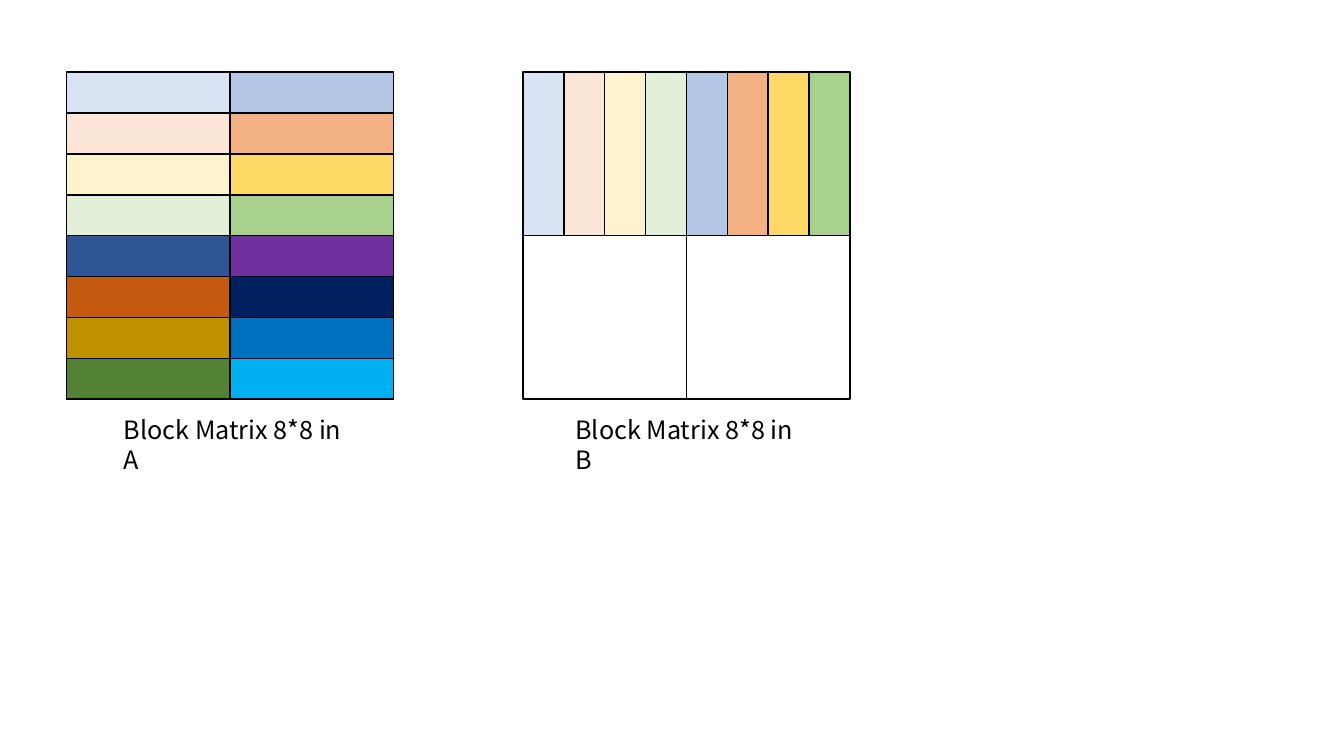
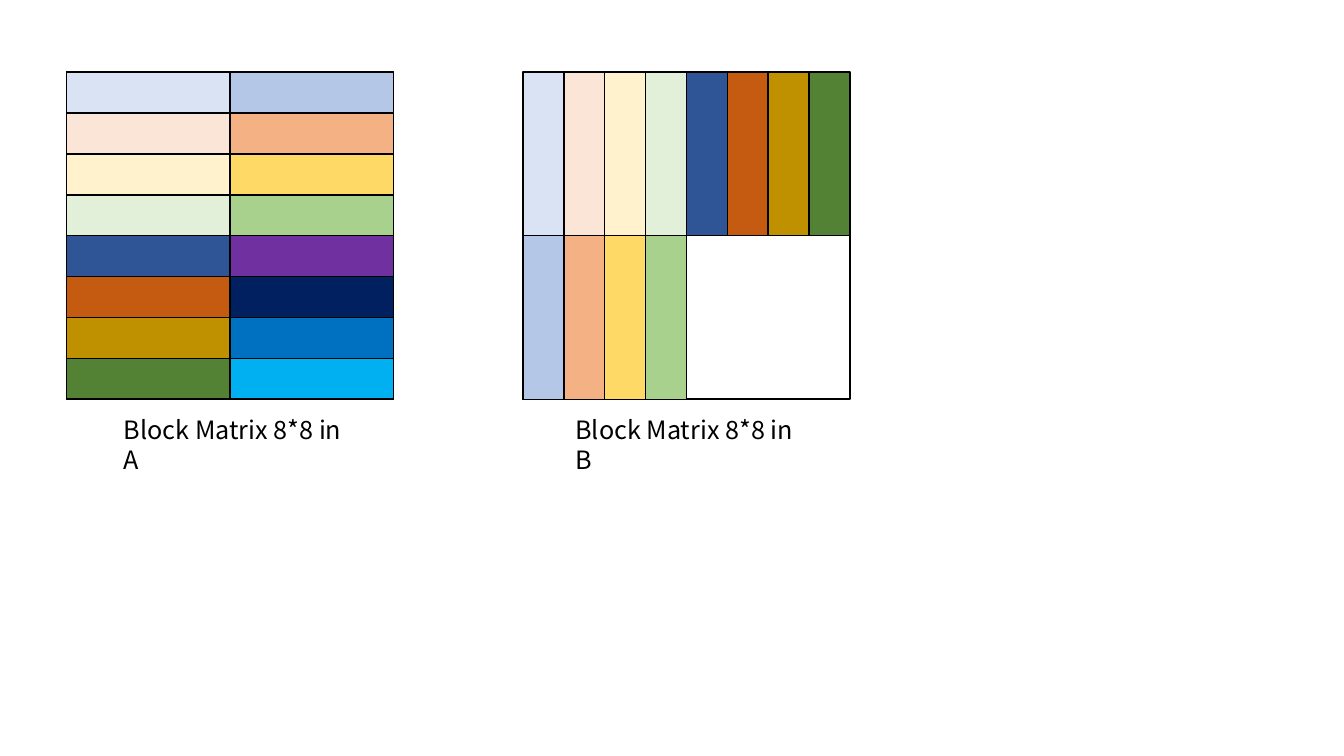
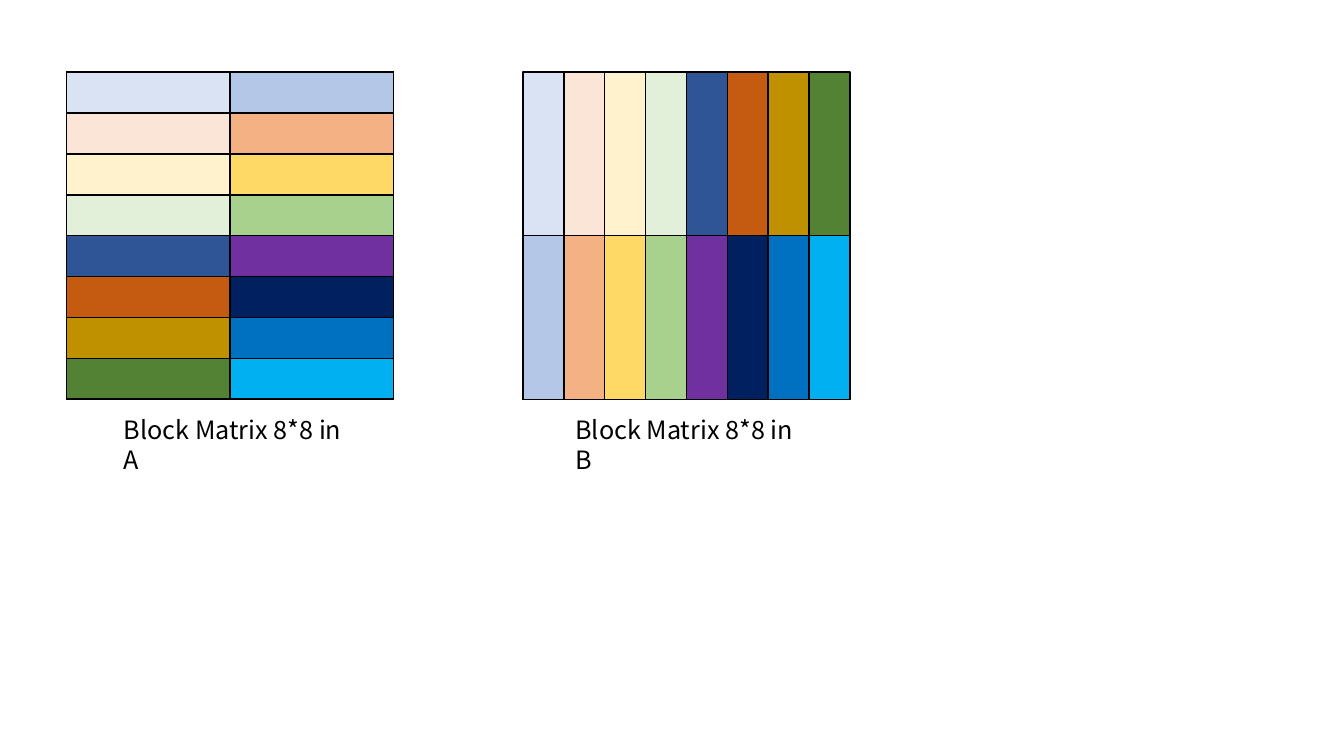
from pptx import Presentation
from pptx import util as u
from pptx.dml.color import RGBColor
from pptx.enum import shapes, text

Cm = u.Cm
FONT = "Noto Sans CJK SC"
COLORS = {
    "black": "000000",
    "pale blue": "DAE3F3", "pale orange": "FBE5D6",
    "pale gold": "FFF2CC", "pale green": "E2F0D9",
    "light blue": "B4C7E7", "light orange": "F4B183",
    "light gold": "FFD966", "light green": "A9D18E",
    "dark blue": "2F5597", "dark orange": "C55A11",
    "dark gold": "BF9000", "dark green": "548235",
    "purple": "7030A0", "navy": "002060", "blue": "0070C0", "cyan": "00B0F0",
}
HUES = ("blue", "orange", "gold", "green")
PALE, LIGHT, DARK = ([f"{tone} {hue}" for hue in HUES]
                     for tone in ("pale", "light", "dark"))
VIVID = ["purple", "navy", "blue", "cyan"]

BLOCK = Cm(4.12)
STRIP = BLOCK // 4
MATRIX_A = (Cm(1.68), Cm(1.82))
MATRIX_B = (Cm(13.18), Cm(1.82))

# Blocks of each matrix: top left, top right, bottom left, bottom right
A_BLOCKS = [PALE, LIGHT, DARK, VIVID]
B_STEPS = [
    [PALE, LIGHT, None, None],
    [PALE, DARK, LIGHT, None],
    [PALE, DARK, LIGHT, VIVID],
]


def add_rect(parent, left, top, width, height, fill=None):
    """Add a black-edged rectangle, hollow unless a fill is named."""
    sp = parent.add_shape(shapes.MSO_SHAPE.RECTANGLE, left, top, width, height)
    sp.shadow.inherit = False
    sp.line.color.rgb = RGBColor.from_string(COLORS["black"])
    sp.line.width = u.Pt(1)
    if fill:
        sp.fill.solid()
        sp.fill.fore_color.rgb = RGBColor.from_string(COLORS[fill])
    else:
        sp.fill.background()
    return sp


def add_strips(s, left, top, fills, upright):
    """Group four strips that fill one block, as rows or as upright columns."""
    group = s.shapes.add_group_shape().shapes
    for i, fill in enumerate(fills):
        if upright:
            turn = (BLOCK - STRIP) // 2
            sp = add_rect(group, left + i * STRIP - turn, top + turn,
                          BLOCK, STRIP, fill)
            sp.rotation = 270
        else:
            add_rect(group, left, top + i * STRIP, BLOCK, STRIP, fill)


def add_caption(s, left, top, caption):
    """Write the caption that belongs below a matrix."""
    tf = s.shapes.add_textbox(left, top, Cm(6.22), Cm(1.02)).text_frame
    tf.word_wrap = True
    tf.auto_size = text.MSO_AUTO_SIZE.NONE
    p = tf.paragraphs[0]
    p.text = caption
    p.font.size = u.Pt(18)
    p.font.name = FONT
    p.font.color.rgb = RGBColor.from_string(COLORS["black"])


def add_matrix(s, origin, blocks, name, caption_indent, upright=False):
    """Draw a 2 by 2 block matrix at its origin, with its caption."""
    left, top = origin
    corners = [(left + col * BLOCK, top + row * BLOCK)
               for row in range(2) for col in range(2)]
    frames = s.shapes.add_group_shape().shapes
    for x, y in corners:
        add_rect(frames, x, y, BLOCK, BLOCK)
    for (x, y), fills in zip(corners, blocks):
        if fills:
            add_strips(s, x, y, fills, upright)
    add_caption(s, left + caption_indent, top + Cm(8.49),
                f"Block Matrix 8*8 in {name}")


def add_step(prs, b_blocks):
    """Add a slide with matrix A in rows and matrix B in columns."""
    s = prs.slides.add_slide(prs.slide_layouts[6])
    add_matrix(s, MATRIX_A, A_BLOCKS, "A", Cm(1.19))
    add_matrix(s, MATRIX_B, b_blocks, "B", Cm(1.07), upright=True)


prs = Presentation()
prs.slide_width, prs.slide_height = Cm(33.87), Cm(19.05)
for b_blocks in B_STEPS:
    add_step(prs, b_blocks)
prs.save("out.pptx")
